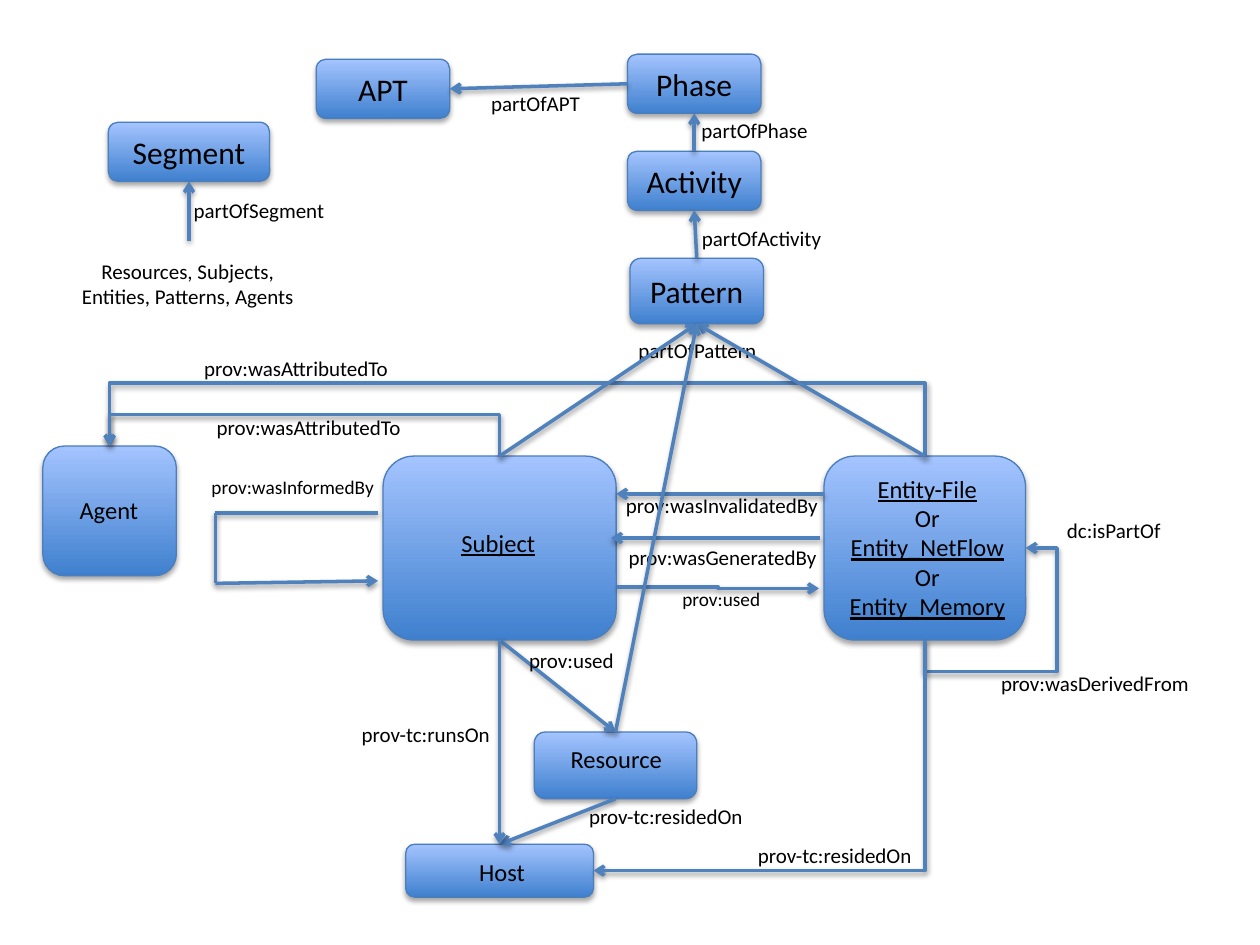
from dataclasses import dataclass
from pptx import Presentation
from pptx.dml.color import RGBColor
from pptx.enum.shapes import MSO_CONNECTOR as Conn, MSO_SHAPE as Geo
from pptx.enum.text import MSO_ANCHOR as Anchor, MSO_AUTO_SIZE as Auto, PP_ALIGN as Align
from pptx.oxml import parse_xml
from pptx.oxml.ns import nsdecls, qn
from pptx.util import Inches, Pt


@dataclass(frozen=True)
class Theme:
    font: str = "Calibri"
    text: str = "000000"
    low: str = "3F80CE"
    high: str = "A4C4FF"
    edge: str = "4B7EBC"
    link: str = "4F81BD"
    head: int = 18
    name: int = 14
    label: int = 12
    small: int = 11


@dataclass(frozen=True)
class Box:
    """A cell range on a grid of 100 columns by 75 rows."""
    x: float
    y: float
    w: float
    h: float

    def sub(self, x, y, w, h):
        return Box(self.x + x, self.y + y, w, h)

    def point(self, x, y):
        return self.x + x, self.y + y

    def port(self, side):
        u, v = {"top": (.5, 0), "bottom": (.5, 1), "left": (0, .5), "right": (1, .5)}[side]
        return self.x + u * self.w, self.y + v * self.h

    def size(self):
        return [unit(n) for n in (self.x, self.y, self.w, self.h)]


T = Theme()


def unit(n):
    return Inches(n / 10)


def rgb(code):
    return RGBColor.from_string(code)


def shade(item, alpha, dist):
    item._element.spPr.append(parse_xml(
        f'<a:effectLst {nsdecls("a")}><a:outerShdw blurRad="{Pt(3.1)}" dist="{Pt(dist)}" '
        f'dir="5400000" rotWithShape="0"><a:srgbClr val="000000">'
        f'<a:alpha val="{alpha}000"/></a:srgbClr></a:outerShdw></a:effectLst>'))


def write(frame, text, size, align=Align.CENTER, under=()):
    frame.text = text
    for para in frame.paragraphs:
        para.alignment = align
        for run in para.runs:
            font = run.font
            font.name, font.size = T.font, Pt(size)
            font.color.rgb = rgb(T.text)
            if run.text in under:
                font.underline = True


def node(slide, box, text=""):
    shape = slide.shapes.add_shape(Geo.ROUNDED_RECTANGLE, *box.size())
    shape.fill.gradient()
    shape.fill.gradient_angle = 90
    for stop, code, pos in zip(shape.fill.gradient_stops, (T.low, T.high), (0, 1)):
        stop.color.rgb, stop.position = rgb(code), pos
    shape.line.color.rgb, shape.line.width = rgb(T.edge), Pt(.75)
    shade(shape, 35, 1.8)
    if text:
        shape.text_frame.vertical_anchor = Anchor.MIDDLE
        write(shape.text_frame, text, T.head)
    return box


def label(slide, box, text, size=T.label, align=Align.CENTER, wrap=False, under=()):
    frame = slide.shapes.add_textbox(*box.size()).text_frame
    frame.word_wrap, frame.auto_size = wrap, Auto.SHAPE_TO_FIT_TEXT
    write(frame, text, size, align, under)


def link(slide, start, end, arrow=True, kind=Conn.STRAIGHT):
    line = slide.shapes.add_connector(kind, *(unit(n) for n in (*start, *end)))
    line.line.color.rgb, line.line.width = rgb(T.link), Pt(2)
    if arrow:
        line.line._get_or_add_ln().append(
            parse_xml(f'<a:tailEnd {nsdecls("a")} type="arrow"/>'))
    shade(line, 38, 1.6)
    return line


def bend(slide, start, end, turn, flip="", legs=(), preset="bentConnector3"):
    """Elbow leaving vertically; legs are its bend distances along each axis."""
    line = link(slide, start, end, kind=Conn.ELBOW)
    wide, tall = abs(end[1] - start[1]), abs(end[0] - start[0])
    midx, midy = (start[0] + end[0]) / 2, (start[1] + end[1]) / 2
    line.left, line.top, line.width, line.height = Box(
        midx - wide / 2, midy - tall / 2, wide, tall).size()
    xfrm = line._element.spPr.find(qn("a:xfrm"))
    xfrm.set("rot", str(turn * 60000))
    for axis in "HV":
        xfrm.set("flip" + axis, str(int(axis in flip)))
    geom = line._element.spPr.find(qn("a:prstGeom"))
    geom.set("prst", preset)
    guides = geom.find(qn("a:avLst"))
    for i, (leg, span) in enumerate(zip(legs, (wide, tall)), 1):
        name = "adj" if preset == "bentConnector2" else f"adj{i}"
        guides.append(parse_xml(f'<a:gd {nsdecls("a")} name="{name}" '
                                f'fmla="val {round(leg / span * 100000)}"/>'))


def tiers(slide, box):
    # Chain from pattern up to APT
    apt = node(slide, box.sub(.1, .7, 10.6, 4.7), "APT")
    phase = node(slide, box.sub(24.8, .3, 10.6, 4.7), "Phase")
    act = node(slide, box.sub(24.8, 8, 10.6, 4.7), "Activity")
    pattern = node(slide, box.sub(25, 16.5, 10.6, 5.2), "Pattern")
    link(slide, phase.port("left"), apt.port("right"))
    for low, high in ((act, phase), (pattern, act)):
        link(slide, low.port("top"), high.port("bottom"))
    for x, y, w, text in ((12.9, 2.7, 9.2, "partOfAPT"), (29.6, 4.8, 10.6, "partOfPhase"),
                          (29.6, 13.4, 11.7, "partOfActivity"),
                          (24.6, 22.3, 11.5, "partOfPattern")):
        label(slide, box.sub(x, y, w, 3), text)
    return pattern


def segment(slide, box):
    seg = node(slide, box.sub(4.6, .7, 12.8, 4.7), "Segment")
    foot = seg.port("bottom")
    link(slide, (foot[0], foot[1] + 4.7), foot)
    label(slide, box.sub(10.3, 6.2, 12.5, 3), "partOfSegment")
    label(slide, box.sub(.3, 11, 21.2, 5),
          "Resources, Subjects, Entities, Patterns, Agents", wrap=True)


def core(slide, box):
    # Agent, subject and entity
    agent = node(slide, box.sub(0, 8.4, 10.6, 10.3))
    subject = node(slide, box.sub(27, 9.2, 18.5, 14.6))
    entity = node(slide, box.sub(62, 9.2, 16, 14.6))
    label(slide, box.sub(1.9, 11.8, 6.7, 3.4), "Agent", T.name)
    label(slide, box.sub(32.2, 14.4, 7.9, 3.4), "Subject", T.name, under=("Subject",))
    kinds = ("Entity-File", "Entity_NetFlow", "Entity_Memory")
    label(slide, box.sub(63, 10.1, 14.4, 12.8), "\nOr\n".join(kinds), T.name, under=kinds)
    # Elbows to the agent and from the entity to itself
    bend(slide, entity.port("top"), agent.port("top"), 270, "V", (5.8,))
    bend(slide, subject.port("top"), agent.port("top"), 270, "V", (3.3,))
    bend(slide, entity.port("bottom"), entity.port("right"), 90, "HV", (-2.5, 10.5),
         "bentConnector4")
    # Links between subject and entity
    for x1, y1, x2, y2 in ((62, 12.2, 45.5, 12.2), (61.7, 15.7, 45.1, 15.7),
                           (45.6, 19.6, 61.6, 19.7)):
        link(slide, box.point(x1, y1), box.point(x2, y2), kind=Conn.ELBOW)
    # Loop at the subject
    loop = [box.point(*p) for p in ((26.6, 13.7), (13.7, 13.7), (13.7, 19.3), (26.6, 19.1))]
    for i, (start, end) in enumerate(zip(loop, loop[1:])):
        link(slide, start, end, arrow=i == 2)
    for x, y, w, text in ((11.6, .7, 17, "prov:wasAttributedTo"),
                          (12.6, 5.4, 17, "prov:wasAttributedTo"),
                          (45.1, 11.6, 17.6, "prov:wasInvalidatedBy"),
                          (45.3, 15.7, 17.3, "prov:wasGeneratedBy"),
                          (80.2, 13.6, 9.6, "dc:isPartOf"),
                          (74.9, 25.7, 17.2, "prov:wasDerivedFrom")):
        label(slide, box.sub(x, y, w, 3), text)
    label(slide, box.sub(12.4, 10.2, 15.1, 4.7), "prov:wasInformedBy", T.small, Align.LEFT)
    label(slide, box.sub(49.7, 19.1, 8.3, 2.9), "prov:used", T.small)
    return subject, entity


def base(slide, box, subject, entity):
    # Resource and host
    res = node(slide, box.sub(15.4, 8.1, 12.9, 5.3))
    host = node(slide, box.sub(5.2, 17, 14.9, 4.2))
    label(slide, box.sub(17.3, 8.6, 9.5, 3.4), "Resource", T.name, Align.LEFT)
    label(slide, box.sub(10, 17.5, 5.7, 3.4), "Host", T.name)
    for start, end in ((subject, res), (res, host), (subject, host)):
        link(slide, start.port("bottom"), end.port("top"))
    bend(slide, entity.port("bottom"), host.port("right"), 90, preset="bentConnector2")
    label(slide, box.sub(10.6, .9, 12.1, 3), "prov:used", align=Align.RIGHT, wrap=True)
    for x, y, w, text in ((.6, 6.8, 12.4, "prov-tc:runsOn"),
                          (18.6, 13.3, 14.5, "prov-tc:residedOn"),
                          (32, 16.4, 14.5, "prov-tc:residedOn")):
        label(slide, box.sub(x, y, w, 3), text)
    return res


def main():
    deck = Presentation()
    deck.slide_width, deck.slide_height = Inches(10), Inches(7.5)
    slide = deck.slides.add_slide(deck.slide_layouts[6])
    subject, entity = core(slide, Box(3.4, 27, 93, 29))
    res = base(slide, Box(27, 50, 47, 22), subject, entity)
    pattern = tiers(slide, Box(25, 4, 42, 26))
    segment(slide, Box(4, 9, 23, 16))
    # Parts of the pattern
    for part in (subject, entity, res):
        link(slide, part.port("top"), pattern.port("bottom"))
    deck.save("out.pptx")


if __name__ == "__main__":
    main()
